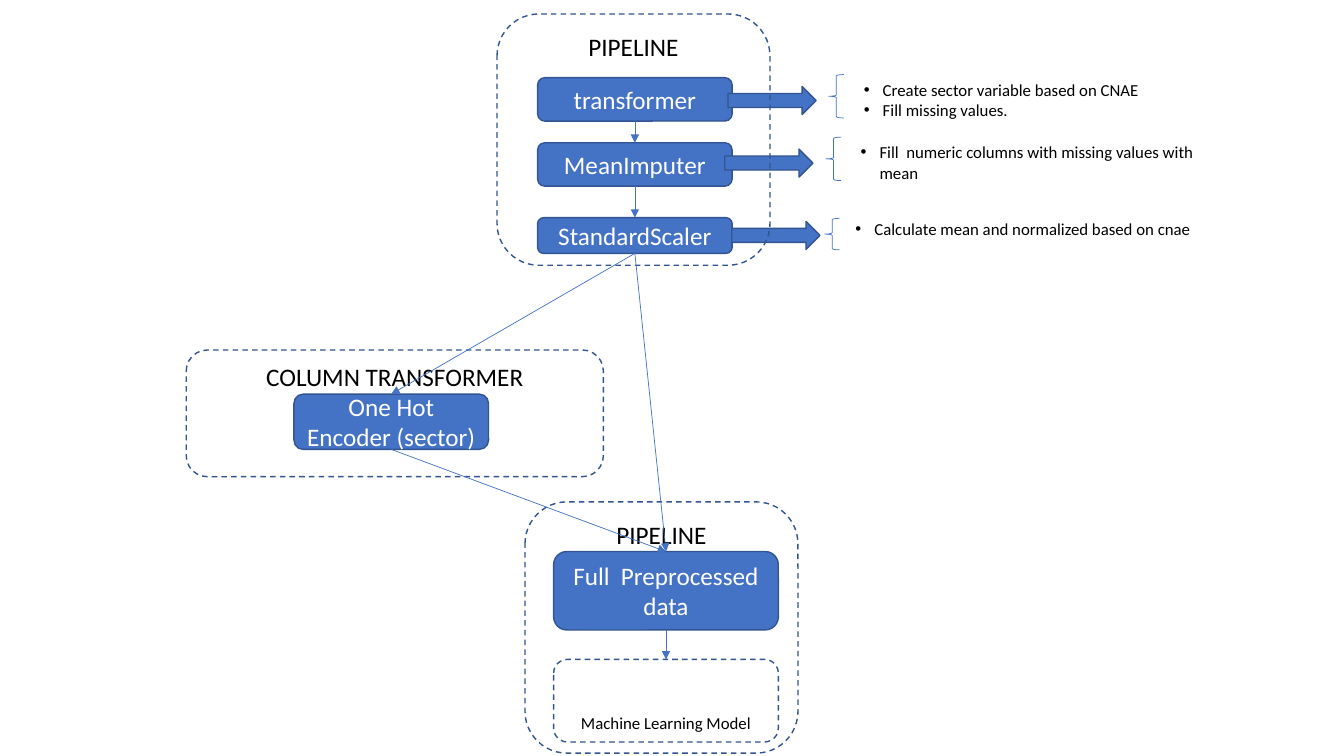
from lxml import etree
from pptx import Presentation
from pptx.dml.color import RGBColor
from pptx.enum.dml import MSO_LINE
from pptx.enum.shapes import MSO_CONNECTOR, MSO_SHAPE
from pptx.enum.text import MSO_ANCHOR, MSO_AUTO_SIZE, PP_ALIGN
from pptx.oxml.ns import qn
from pptx.util import Pt

ROUNDED = MSO_SHAPE.ROUNDED_RECTANGLE
RIGHT_ARROW = MSO_SHAPE.RIGHT_ARROW
LEFT_BRACE = MSO_SHAPE.LEFT_BRACE
STRAIGHT = MSO_CONNECTOR.STRAIGHT
DASH = MSO_LINE.DASH
TOP, MIDDLE, BOTTOM = MSO_ANCHOR.TOP, MSO_ANCHOR.MIDDLE, MSO_ANCHOR.BOTTOM
CENTER = PP_ALIGN.CENTER
FIT_TEXT = MSO_AUTO_SIZE.SHAPE_TO_FIT_TEXT
TOP_SITE, BOTTOM_SITE = 0, 2

FONT = "Calibri"
COLORS = {"blue": "4472C4", "outline": "325491", "white": "FFFFFF", "black": "000000"}
RGB = {name: RGBColor.from_string(value) for name, value in COLORS.items()}

presentation = Presentation()
presentation.slide_width = Pt(960)
presentation.slide_height = Pt(540)
slide = presentation.slides.add_slide(presentation.slide_layouts[6])


def add_figure(kind, box, fill=None, line="outline", width=1):
    """Add a preset shape at box (left, top, width, height in points)."""
    shape = slide.shapes.add_shape(kind, *[Pt(value) for value in box])
    shape.shadow.inherit = False
    if fill:
        shape.fill.solid()
        shape.fill.fore_color.rgb = RGB[fill]
    else:
        shape.fill.background()
    shape.line.color.rgb = RGB[line]
    shape.line.width = Pt(width)
    return shape


def write_text(shape, text, size, color, anchor=TOP, alignment=None):
    """Fill a shape with text, one paragraph per line, and format it."""
    frame = shape.text_frame
    frame.word_wrap = True
    frame.vertical_anchor = anchor
    frame.text = text
    for paragraph in frame.paragraphs:
        paragraph.alignment = alignment
        for run in paragraph.runs:
            run.font.size = Pt(size)
            run.font.name = FONT
            run.font.color.rgb = RGB[color]


# Processing steps
steps = {}
for text, box in [
    ("transformer", (384, 55.5, 139, 31)),
    ("MeanImputer", (384, 102, 139, 31)),
    ("StandardScaler", (384, 155.5, 139, 25.5)),
    ("One Hot Encoder (sector)", (210, 281.5, 139, 39.5)),
    ("Full  Preprocessed data", (395.5, 394, 160.5, 56)),
]:
    steps[text] = add_figure(ROUNDED, box, fill="blue")
    write_text(steps[text], text, 18, "white", MIDDLE, CENTER)

# Step explanations: arrow, brace and bulleted note
for arrow_left, arrow_top, brace_box, note_left, note_top, text in [
    (520, 61.8, (592, 53.3, 10.8, 31), 610, 53.3,
     "Create sector variable based on CNAE\nFill missing values."),
    (517.7, 106.5, (590, 98, 10.8, 31), 607.7, 98,
     "Fill  numeric columns with missing values with mean"),
    (522.7, 158.2, (589, 156, 10.8, 22.5), 604, 152.6,
     "Calculate mean and normalized based on cnae"),
]:
    add_figure(RIGHT_ARROW, (arrow_left, arrow_top, 63, 20), fill="blue")
    add_figure(LEFT_BRACE, brace_box, line="blue", width=0.5)
    note = slide.shapes.add_textbox(Pt(note_left), Pt(note_top), Pt(255), Pt(36))
    write_text(note, text, 12, "black")
    note.text_frame.auto_size = FIT_TEXT
    for paragraph in note.text_frame.paragraphs:
        properties = paragraph._p.get_or_add_pPr()
        properties.set("marL", str(Pt(13.5)))
        properties.set("indent", str(Pt(-13.5)))
        etree.SubElement(properties, qn("a:buFont")).set("typeface", "Arial")
        etree.SubElement(properties, qn("a:buChar")).set("char", "•")

# Dashed frames
for text, box, size, anchor in [
    ("PIPELINE", (355, 10, 195, 179.5), 18, TOP),
    ("COLUMN TRANSFORMER", (133, 250, 298, 90.5), 18, TOP),
    ("PIPELINE", (375, 358.5, 195, 179.5), 18, TOP),
    ("Machine Learning Model", (395.5, 471, 160.5, 59), 12, BOTTOM),
]:
    frame_shape = add_figure(ROUNDED, box)
    frame_shape.line.dash_style = DASH
    write_text(frame_shape, text, size, "black", anchor, CENTER)
model = frame_shape

# Flow between the steps
transformer, imputer, scaler, encoder, full_data = steps.values()
for source, target in [
    (transformer, imputer),
    (imputer, scaler),
    (scaler, encoder),
    (scaler, full_data),
    (encoder, full_data),
    (full_data, model),
]:
    connector = slide.shapes.add_connector(STRAIGHT, 0, 0, 0, 0)
    connector.begin_connect(source, BOTTOM_SITE)
    connector.end_connect(target, TOP_SITE)
    connector.line.color.rgb = RGB["blue"]
    connector.line.width = Pt(0.5)
    line = connector.line._get_or_add_ln()
    etree.SubElement(line, qn("a:tailEnd")).set("type", "triangle")
    etree.SubElement(connector._element.spPr, qn("a:effectLst"))

presentation.save("out.pptx")
